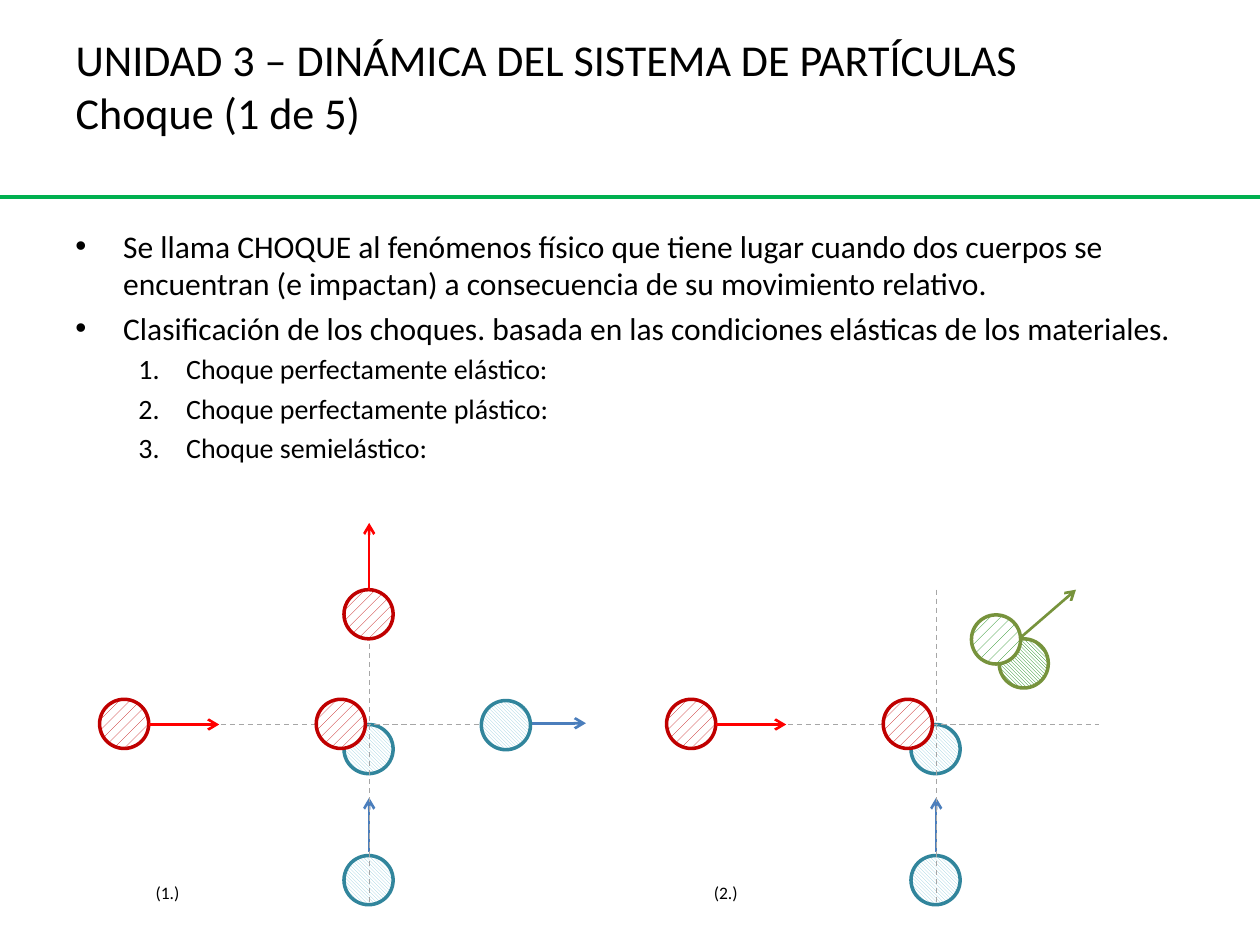
from lxml.etree import SubElement
from pptx import Presentation
from pptx.dml.color import RGBColor
from pptx.enum.dml import MSO_LINE, MSO_PATTERN as Pattern
from pptx.enum.shapes import MSO_CONNECTOR as Connector, MSO_SHAPE as Shape
from pptx.enum.text import MSO_ANCHOR as Anchor, MSO_AUTO_SIZE as AutoSize, PP_ALIGN as Align
from pptx.oxml.ns import qn
from pptx.util import Inches, Pt

COLORS = {
    "text": "000000", "white": "FFFFFF", "rule": "00B050", "axis": "A6A6A6",
    "red": "C00000", "red_arrow": "FF0000",
    "blue": "31859C", "blue_hatch": "93CDDD", "blue_arrow": "4B7EBC",
    "green": "77933C", "green_hatch": "008000",
}
FONT = "Calibri"
DIAMETER = 0.39
DIAGRAM_SHIFT = 4.5

RED_BALL = ("red", "red", Pattern.PERCENT_20)
BLUE_BALL = ("blue", "blue_hatch", Pattern.DARK_DOWNWARD_DIAGONAL)
GREEN_FRONT = ("green", "green_hatch", Pattern.PERCENT_20)
GREEN_BACK = ("green", "green_hatch", Pattern.DARK_DOWNWARD_DIAGONAL)

STATEMENTS = [
    "Se llama CHOQUE al fenómenos físico que tiene lugar cuando dos cuerpos se "
    "encuentran (e impactan) a consecuencia de su movimiento relativo.",
    "Clasificación de los choques. basada en las condiciones elásticas de los materiales.",
]
COLLISION_TYPES = [
    "Choque perfectamente elástico:",
    "Choque perfectamente plástico:",
    "Choque semielástico:",
]


def color(name):
    return RGBColor.from_string(COLORS[name])


def write(paragraph, text, size=18, align=Align.LEFT, space_before=0):
    paragraph.alignment = align
    paragraph.space_before = Pt(space_before)
    for index, line in enumerate(text.split("\n")):
        if index:
            paragraph.add_line_break()
        run = paragraph.add_run()
        run.text = line
        run.font.name = FONT
        run.font.size = Pt(size)
        run.font.color.rgb = color("text")


def add_bullet(paragraph, indent, numbered):
    """Give the paragraph a hanging dot or number."""
    properties = paragraph._p.get_or_add_pPr()
    properties.set("marL", str(Inches(indent)))
    properties.set("indent", str(-Inches(0.38)))
    if numbered:
        SubElement(properties, qn("a:buFont"), typeface="+mj-lt")
        SubElement(properties, qn("a:buAutoNum"), type="arabicPeriod")
    else:
        SubElement(properties, qn("a:buFont"), typeface="Arial")
        SubElement(properties, qn("a:buChar"), char="•")


class SlideBuilder:
    def __init__(self, slide):
        self.slide = slide
        self.shapes = slide.shapes

    def title(self, text, left, top, width, height):
        title = self.shapes.title
        title.left, title.top = Inches(left), Inches(top)
        title.width, title.height = Inches(width), Inches(height)
        frame = title.text_frame
        frame.word_wrap = True
        frame.auto_size = AutoSize.NONE
        frame.vertical_anchor = Anchor.TOP
        write(frame.paragraphs[0], text, size=25.2)

    def text_frame(self, left, top, width, height):
        box = self.shapes.add_textbox(*map(Inches, (left, top, width, height)))
        box.text_frame.word_wrap = True
        return box.text_frame

    def bullets(self, statements, numbered_items, *place):
        frame = self.text_frame(*place)
        items = [(text, 0) for text in statements] + [(text, 1) for text in numbered_items]
        for index, (text, level) in enumerate(items):
            paragraph = frame.add_paragraph() if index else frame.paragraphs[0]
            size = 16 if level else 18
            paragraph.level = level
            add_bullet(paragraph, 0.88 if level else 0.38, numbered=bool(level))
            write(paragraph, text, size=size, space_before=0.2 * size if index else 0)

    def label(self, text, left, top):
        frame = self.text_frame(left, top, 0.86, 0.27)
        write(frame.paragraphs[0], text, size=10, align=Align.CENTER)

    def ball(self, style, left, top):
        outline, hatch, pattern = style
        ball = self.shapes.add_shape(
            Shape.OVAL, *map(Inches, (left, top, DIAMETER, DIAMETER)))
        ball.shadow.inherit = False
        ball.fill.patterned()
        ball.fill.pattern = pattern
        ball.fill.fore_color.rgb = color(hatch)
        ball.fill.back_color.rgb = color("white")
        ball.line.color.rgb = color(outline)
        ball.line.width = Pt(2)

    def line(self, name, start, end, width=1.5, dashed=False, arrow=False):
        line = self.shapes.add_connector(
            Connector.STRAIGHT, *map(Inches, (*start, *end)))
        line.line.color.rgb = color(name)
        line.line.width = Pt(width)
        if dashed:
            line.line.dash_style = MSO_LINE.DASH
        if arrow:
            SubElement(line.line._get_or_add_ln(), qn("a:tailEnd"), type="arrow")
        SubElement(line._element.spPr, qn("a:effectLst"))

    def arrow(self, name, start, end):
        self.line(name, start, end, arrow=True)

    def axis(self, start, end):
        self.line("axis", start, end, width=0.75, dashed=True)

    def approach(self, shift):
        """Draw both axes and the two balls before and during the impact."""
        self.ball(BLUE_BALL, 2.73 + shift, 5.75)
        self.ball(RED_BALL, 0.79 + shift, 5.55)
        self.axis((1.18 + shift, 5.75), (4.22 + shift, 5.75))
        self.ball(BLUE_BALL, 2.73 + shift, 6.79)
        self.ball(RED_BALL, 2.51 + shift, 5.55)
        self.arrow("blue_arrow", (2.93 + shift, 6.76), (2.93 + shift, 6.33))
        self.axis((2.93 + shift, 4.68), (2.93 + shift, 7.16))
        self.arrow("red_arrow", (1.18 + shift, 5.75), (1.74 + shift, 5.75))

    def elastic_result(self):
        self.arrow("blue_arrow", (4.21, 5.74), (4.65, 5.74))
        self.ball(BLUE_BALL, 3.82, 5.56)
        self.ball(RED_BALL, 2.73, 4.68)
        self.arrow("red_arrow", (2.93, 4.68), (2.93, 4.15))

    def plastic_result(self):
        self.arrow("green", (8.1, 5.06), (8.54, 4.68))
        self.ball(GREEN_BACK, 7.93, 5.07)
        self.ball(GREEN_FRONT, 7.71, 4.88)


def main():
    presentation = Presentation()
    presentation.slide_width, presentation.slide_height = Inches(10), Inches(7.5)
    builder = SlideBuilder(presentation.slides.add_slide(presentation.slide_layouts[5]))

    builder.line("rule", (0, 1.56), (10, 1.56), width=2.25)
    builder.title("UNIDAD 3 – DINÁMICA DEL SISTEMA DE PARTÍCULAS\nChoque (1 de 5)",
                  0.5, 0.21, 8.17, 1.13)
    builder.bullets(STATEMENTS, COLLISION_TYPES, 0.5, 1.75, 9, 2.96)

    builder.approach(0)
    builder.elastic_result()
    builder.approach(DIAGRAM_SHIFT)
    builder.plastic_result()
    builder.label("(1.)", 0.9, 6.95)
    builder.label("(2.)", 5.33, 6.95)

    presentation.save("out.pptx")


if __name__ == "__main__":
    main()
